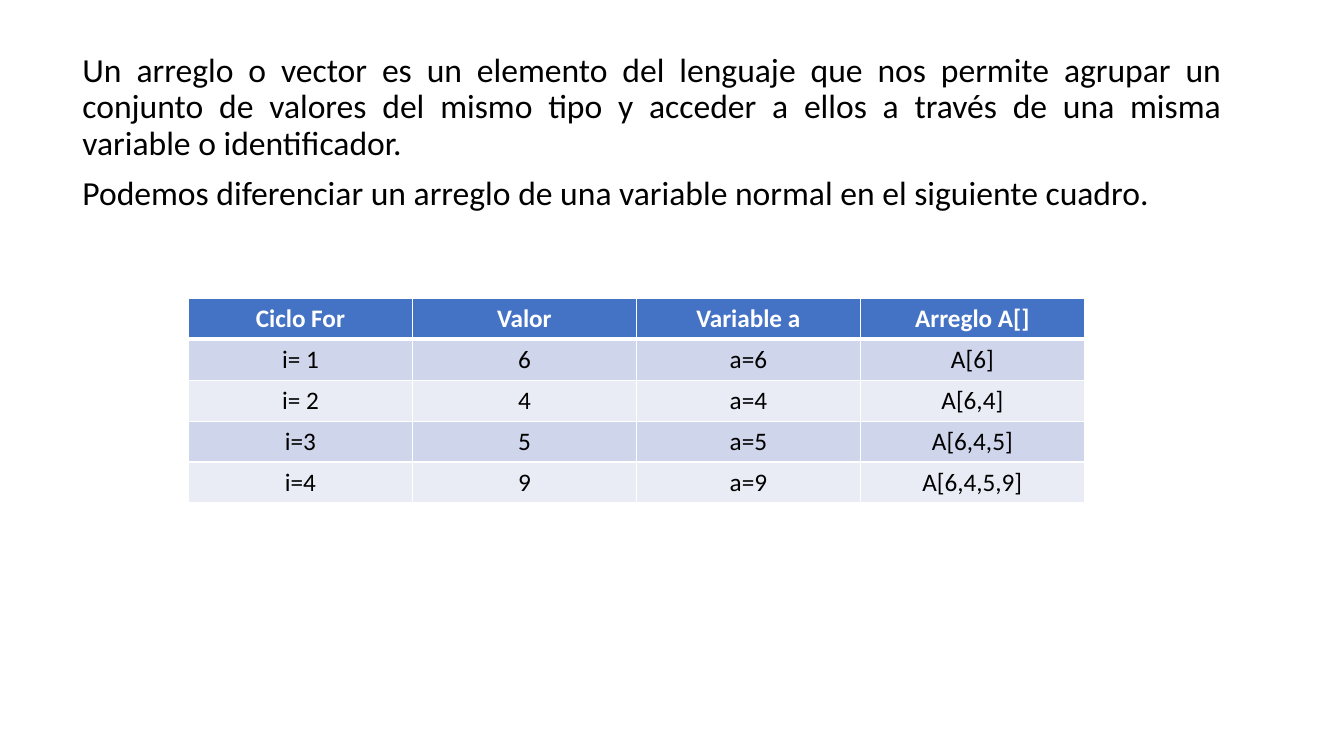
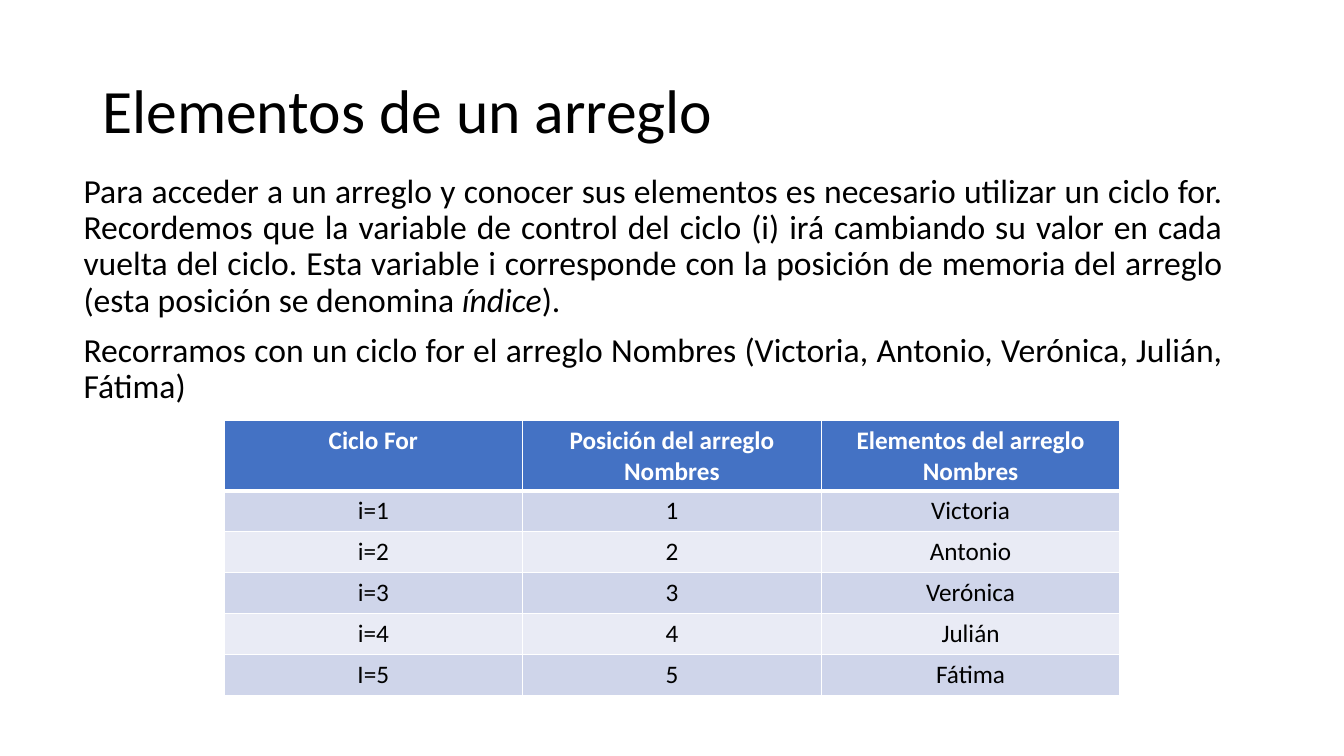
from dataclasses import dataclass

from lxml.etree import SubElement
from pptx import Presentation
from pptx.dml.color import RGBColor
from pptx.enum.text import MSO_ANCHOR, PP_ALIGN
from pptx.oxml.ns import qn
from pptx.util import Inches, Pt


@dataclass(frozen=True)
class Theme:
    font: str = "Calibri"
    ink: str = "000000"
    paper: str = "FFFFFF"
    header: str = "4472C4"
    bands: tuple = ("CFD5EA", "E9EBF5")
    title_size: int = 44
    body_size: int = 24
    table_size: int = 18
    line_spacing: float = 0.9
    paragraph_gap: int = 10
    thin_rule: int = 1
    thick_rule: int = 3


@dataclass(frozen=True)
class Box:
    col: float
    row: float
    cols: float
    rows: float

    def emu(self):
        return tuple(round(n * UNIT) for n in (self.col, self.row, self.cols, self.rows))


THEME = Theme()
WIDTH, HEIGHT = Inches(13.333), Inches(7.5)
GRID_COLUMNS = 48
UNIT = WIDTH / GRID_COLUMNS
TABLE_ROW = 1.46


def write_text(frame, paragraphs, *, size, color=THEME.ink, bold=False,
               align=None, line_spacing=None, space_before=None):
    for index, runs in enumerate(paragraphs):
        paragraph = frame.add_paragraph() if index else frame.paragraphs[0]
        paragraph.alignment = align
        paragraph.line_spacing = line_spacing
        paragraph.space_before = space_before
        for text, italic in runs:
            run = paragraph.add_run()
            run.text = text
            run.font.name = THEME.font
            run.font.size = Pt(size)
            run.font.bold = bold
            run.font.italic = italic
            run.font.color.rgb = RGBColor.from_string(color)


def plain(text):
    return [(text, False)]


def add_text(slide, box, paragraphs, *, anchor=MSO_ANCHOR.TOP, **text_format):
    frame = slide.shapes.add_textbox(*box.emu()).text_frame
    frame.word_wrap = True
    frame.vertical_anchor = anchor
    write_text(frame, paragraphs, line_spacing=THEME.line_spacing, **text_format)


def add_title(slide, box, title):
    add_text(slide, box, [plain(title)], size=THEME.title_size, anchor=MSO_ANCHOR.MIDDLE)


def add_body(slide, box, paragraphs):
    add_text(slide, box, paragraphs, size=THEME.body_size, align=PP_ALIGN.JUSTIFY,
             space_before=Pt(THEME.paragraph_gap))


def set_borders(cell, top, bottom):
    properties = cell._tc.get_or_add_tcPr()
    widths = {"lnL": THEME.thin_rule, "lnR": THEME.thin_rule, "lnT": top, "lnB": bottom}
    for position, (side, width) in enumerate(widths.items()):
        line = SubElement(properties, qn(f"a:{side}"), w=str(Pt(width)))
        fill = SubElement(line, qn("a:solidFill"))
        SubElement(fill, qn("a:srgbClr"), val=THEME.paper)
        properties.insert(position, line)


def add_cycle_table(slide, box, records):
    table = slide.shapes.add_table(len(records), len(records[0]), *box.emu()).table
    for column in table.columns:
        column.width = round(box.cols * UNIT / len(records[0]))
    header_rows = box.rows - TABLE_ROW * (len(records) - 1)
    for r, record in enumerate(records):
        is_header = r == 0
        table.rows[r].height = round((header_rows if is_header else TABLE_ROW) * UNIT)
        fill = THEME.header if is_header else THEME.bands[(r - 1) % 2]
        for c, text in enumerate(record):
            cell = table.cell(r, c)
            cell.fill.solid()
            cell.fill.fore_color.rgb = RGBColor.from_string(fill)
            set_borders(cell,
                        top=THEME.thick_rule if r == 1 else THEME.thin_rule,
                        bottom=THEME.thick_rule if is_header else THEME.thin_rule)
            write_text(cell.text_frame, [plain(text)], size=THEME.table_size,
                       color=THEME.paper if is_header else THEME.ink,
                       bold=is_header, align=PP_ALIGN.CENTER)


def build_definition(slide):
    add_body(slide, Box(2.59, 1.73, 41.4, 21.46), [
        plain("Un arreglo o vector es un elemento del lenguaje que nos permite agrupar un "
              "conjunto de valores del mismo tipo y acceder a ellos a través de una misma "
              "variable o identificador."),
        plain("Podemos diferenciar un arreglo de una variable normal en el siguiente cuadro."),
    ])
    add_cycle_table(slide, Box(6.73, 10.66, 32, 7.3), [
        ("Ciclo For", "Valor", "Variable a", "Arreglo A[]"),
        ("i= 1", "6", "a=6", "A[6]"),
        ("i= 2", "4", "a=4", "A[6,4]"),
        ("i=3", "5", "a=5", "A[6,4,5]"),
        ("i=4", "9", "a=9", "A[6,4,5,9]"),
    ])


def build_elements(slide):
    add_title(slide, Box(3.3, 1.44, 41.4, 5.22), "Elementos de un arreglo")
    add_body(slide, Box(2.63, 6.05, 41.4, 17.14), [
        [("Para acceder a un arreglo y conocer sus elementos es necesario utilizar un ciclo "
          "for. Recordemos que la variable de control del ciclo (i) irá cambiando su valor en "
          "cada vuelta del ciclo. Esta variable i corresponde con la posición de memoria del "
          "arreglo (esta posición se denomina ", False),
         ("índice", True),
         (").", False)],
        plain("Recorramos con un ciclo for el arreglo Nombres (Victoria, Antonio, Verónica, "
              "Julián, Fátima)"),
    ])
    add_cycle_table(slide, Box(8, 15.01, 32, 9.82), [
        ("Ciclo For", "Posición del arreglo Nombres", "Elementos del arreglo Nombres"),
        ("i=1", "1", "Victoria"),
        ("i=2", "2", "Antonio"),
        ("i=3", "3", "Verónica"),
        ("i=4", "4", "Julián"),
        ("I=5", "5", "Fátima"),
    ])


def main():
    deck = Presentation()
    deck.slide_width, deck.slide_height = WIDTH, HEIGHT
    blank = deck.slide_layouts[6]
    for build in (build_definition, build_elements):
        build(deck.slides.add_slide(blank))
    deck.save("out.pptx")


if __name__ == "__main__":
    main()
